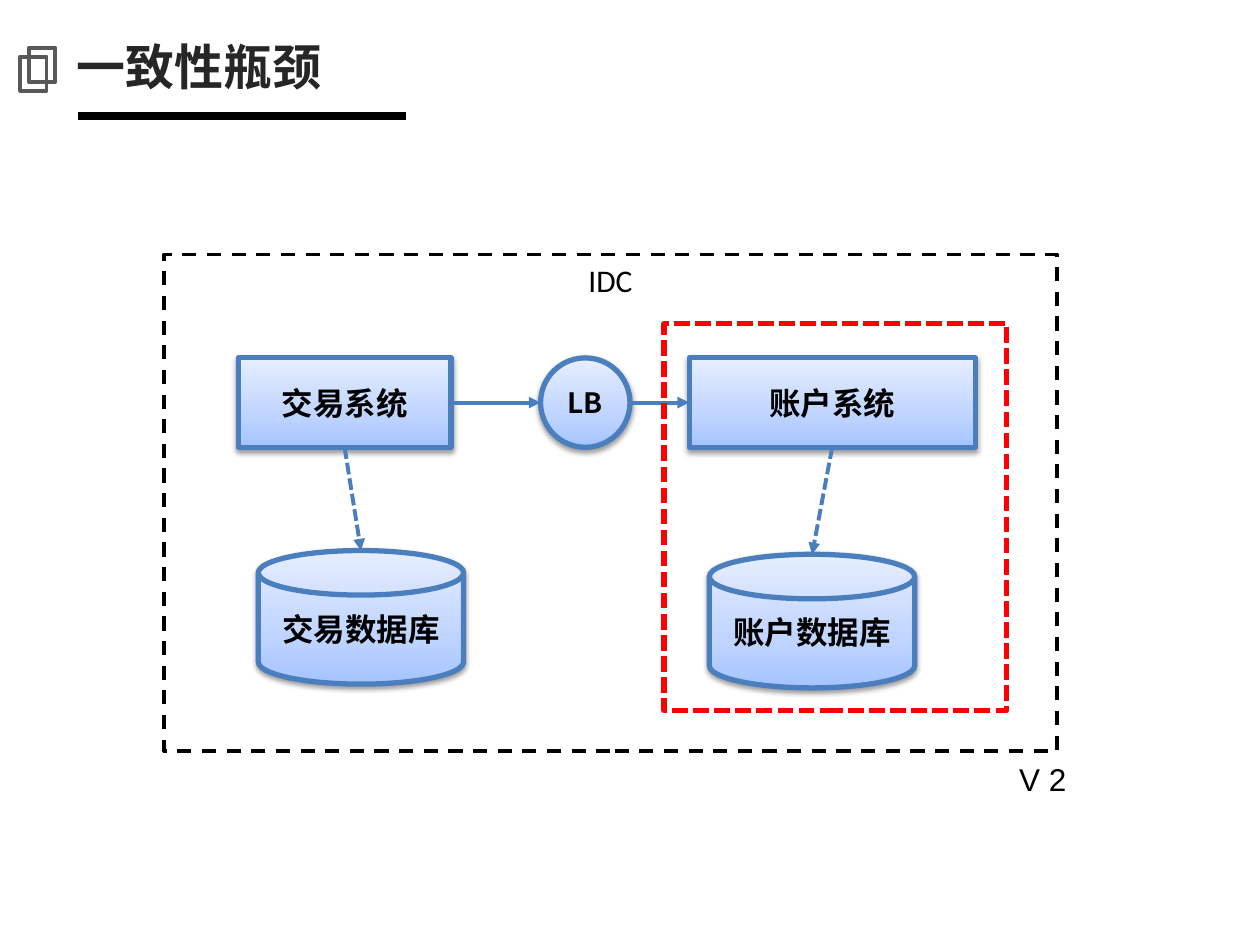
from copy import deepcopy

from lxml import etree
from pptx import Presentation, util as u
from pptx.dml.color import RGBColor
from pptx.enum import dml, shapes, text
from pptx.oxml import parse_xml
from pptx.oxml.ns import nsdecls, qn

# Content: boxes are (left, top, width, height) in inches
WIDTH, HEIGHT = 10, 7.5
CJK, LATIN, LABEL = "Noto Sans CJK SC", "Calibri", "Arial"
COLORS = {"black": "000000", "title": "262626", "icon": "595959",
          "blue": "4B7EBC", "red": "FF0000"}
GRADIENT = [(0, "A4C4FF"), (0.35, "BFD4FF"), (1, "E6EEFF")]
KIND = shapes.MSO_SHAPE
DASH = dml.MSO_LINE

TITLE = "一致性瓶颈"
ROW_TOP, ROW_HEIGHT = 2.84, 0.71
DISK_SIZE = (1.63, 1.06)
NODES = {  # name: (kind, label, box, text size)
    "trade": (KIND.RECTANGLE, "交易系统", (1.89, ROW_TOP, 1.69, ROW_HEIGHT), 18),
    "account": (KIND.RECTANGLE, "账户系统", (5.47, ROW_TOP, 2.27, ROW_HEIGHT), 18),
    "balancer": (KIND.OVAL, "LB", (4.29, ROW_TOP, ROW_HEIGHT, ROW_HEIGHT), 16),
    "trade_db": (KIND.FLOWCHART_MAGNETIC_DISK, "交易数据库", (2.05, 4.37, *DISK_SIZE), 18),
    "account_db": (KIND.FLOWCHART_MAGNETIC_DISK, "账户数据库", (5.63, 4.4, *DISK_SIZE), 18),
}
CALLS = [("trade", "balancer"), ("balancer", "account")]
STORES = [("trade", "trade_db"), ("account", "account_db")]
ICON_SQUARES = [(0.16, 0.45, 0.21, 0.27), (0.23, 0.38, 0.21, 0.27)]

deck = Presentation()
deck.slide_width, deck.slide_height = u.Inches(WIDTH), u.Inches(HEIGHT)
page = deck.slides.add_slide(deck.slide_layouts[6])


def rgb(name):
    return RGBColor.from_string(COLORS[name])


def style_line(line, color, width, dash=None):
    line.color.rgb = rgb(color)
    line.width = u.Pt(width)
    if dash:
        line.dash_style = dash


def write(shape, words, size, font, color="black", bold=False,
          align=text.PP_ALIGN.CENTER, anchor=text.MSO_ANCHOR.MIDDLE, wrap=True):
    frame = shape.text_frame
    frame.word_wrap = wrap
    frame.vertical_anchor = anchor
    frame.text = words
    para = frame.paragraphs[0]
    para.alignment = align
    span = para.runs[0]
    span.font.name, span.font.size, span.font.bold = font, u.Pt(size), bold
    span.font.color.rgb = rgb(color)
    if font == CJK:
        latin = span.font._element.find(qn("a:latin"))
        east = etree.Element(qn("a:ea"), typeface=font)
        latin.addnext(east)


def add_outline(box, color, width, dash=None):
    shape = page.shapes.add_shape(KIND.RECTANGLE, *map(u.Inches, box))
    shape.shadow.inherit = False
    shape.fill.background()
    style_line(shape.line, color, width, dash)
    return shape


def add_text_box(box, words, **look):
    write(page.shapes.add_textbox(*map(u.Inches, box)), words, **look)


def add_line(start, end, color, width, dash=None, arrow=True):
    line = page.shapes.add_connector(
        shapes.MSO_CONNECTOR.STRAIGHT, *map(u.Inches, (*start, *end)))
    style_line(line.line, color, width, dash)
    if arrow:
        etree.SubElement(line.line._get_or_add_ln(), qn("a:tailEnd"), type="triangle")
    etree.SubElement(line._element.spPr, qn("a:effectLst"))


def add_node(kind, words, box, size):
    shape = page.shapes.add_shape(kind, *map(u.Inches, box))
    shape.fill.gradient()
    shape.fill.gradient_angle = 90
    stops = shape.fill._xPr.find(qn("a:gradFill")).find(qn("a:gsLst"))
    stops.append(deepcopy(stops[0]))
    for stop, (position, color) in zip(shape.fill.gradient_stops, GRADIENT):
        stop.position = position
        stop.color.rgb = RGBColor.from_string(color)
    style_line(shape.line, "blue", 3)
    shape._element.spPr.append(parse_xml(
        f'<a:effectLst {nsdecls("a")}><a:outerShdw blurRad="{u.Pt(3.1)}" '
        f'dist="{u.Pt(1.6)}" dir="5400000" rotWithShape="0">'
        '<a:srgbClr val="000000"><a:alpha val="38000"/></a:srgbClr>'
        '</a:outerShdw></a:effectLst>'))
    write(shape, words, size, CJK, bold=True, wrap=kind != KIND.OVAL)


def edge(name, across, down):
    left, top, width, height = NODES[name][2]
    return left + across * width, top + down * height


# Heading
add_line((0.62, 0.92), (3.22, 0.92), "black", 4.5, arrow=False)
for square in ICON_SQUARES:
    add_outline(square, "icon", 2.25)
add_text_box((0.51, 0.13, 9.21, 0.79), TITLE, size=28, font=CJK,
             color="title", bold=True, align=text.PP_ALIGN.LEFT)

# Data centre frame and version label
centre = add_outline((1.3, 2.02, 7.09, 3.94), "black", 2, DASH.DASH)
write(centre, "IDC", 18, LATIN, anchor=text.MSO_ANCHOR.TOP)
add_text_box((7.99, 5.98, 0.58, 0.4), "V 2", size=18, font=LABEL,
             align=text.PP_ALIGN.LEFT, anchor=text.MSO_ANCHOR.TOP, wrap=False)

# Systems, balancer and databases
for node in NODES.values():
    add_node(*node)

# Calls run sideways, storage links run down
for source, target in CALLS:
    add_line(edge(source, 1, 0.5), edge(target, 0, 0.5), "blue", 2.25)
for source, target in STORES:
    add_line(edge(source, 0.5, 1), edge(target, 0.5, 0), "blue", 2.25, DASH.SQUARE_DOT)

# Bottleneck highlight
add_outline((5.27, 2.57, 2.72, 3.07), "red", 3, DASH.SQUARE_DOT)

deck.save("out.pptx")
